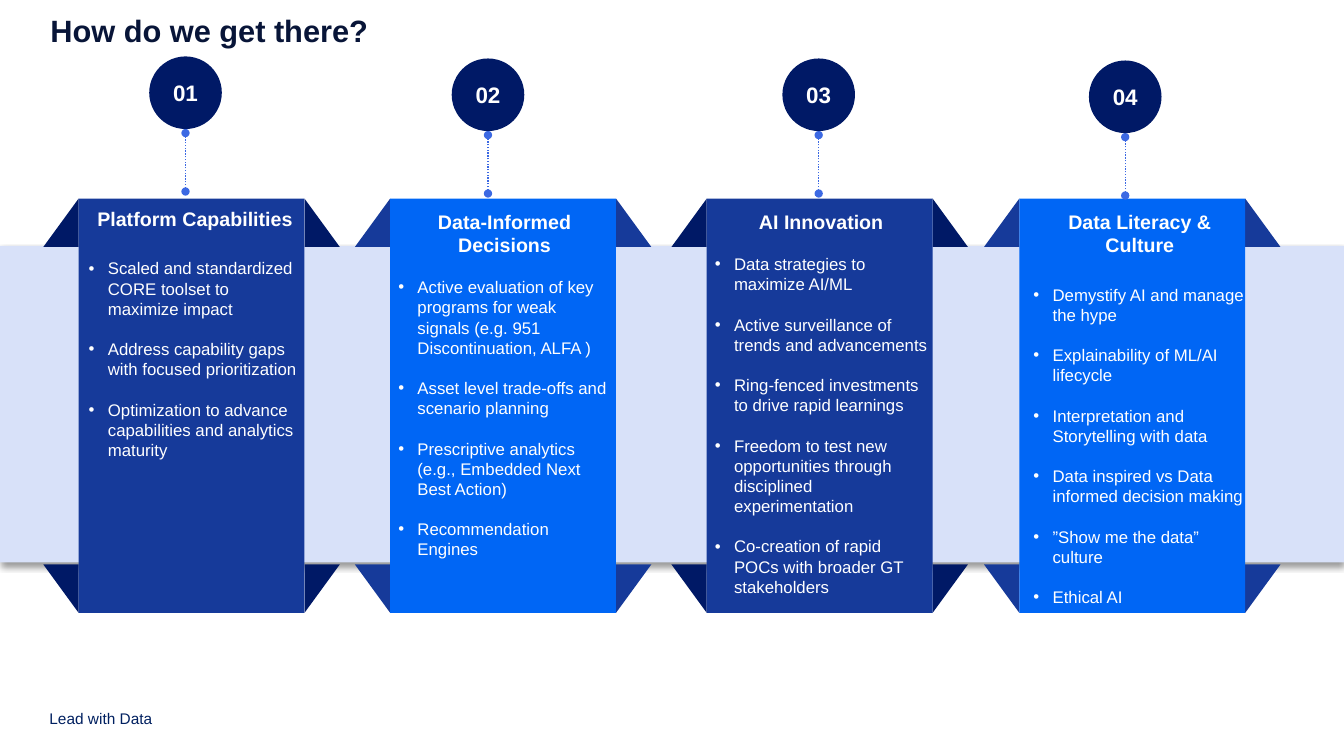
from lxml import etree
from pptx import Presentation
from pptx.dml.color import RGBColor
from pptx.enum.dml import MSO_LINE
from pptx.enum.shapes import MSO_CONNECTOR, MSO_SHAPE
from pptx.enum.text import MSO_ANCHOR, PP_ALIGN
from pptx.oxml.ns import qn
from pptx.util import Inches, Pt

RECTANGLE, OVAL, TRIANGLE = MSO_SHAPE.RECTANGLE, MSO_SHAPE.OVAL, MSO_SHAPE.RIGHT_TRIANGLE
STRAIGHT, DOTTED = MSO_CONNECTOR.STRAIGHT, MSO_LINE.ROUND_DOT
LEFT, CENTER = PP_ALIGN.LEFT, PP_ALIGN.CENTER
TOP, MIDDLE, BOTTOM = MSO_ANCHOR.TOP, MSO_ANCHOR.MIDDLE, MSO_ANCHOR.BOTTOM

COLORS = {
    "title": "081538", "footer": "002060", "band": "D8E1F9", "navy": "001966",
    "royal": "163A9A", "bright": "0066F5", "dots": "3C69E3",
    "white": "FFFFFF", "black": "000000",
}
TITLE = "How do we get there?"
FOOTER = "Lead with Data"
PILLARS = [
    {"heading": "Platform Capabilities", "panel": 0.78, "circle": (1.48, 0.56),
     "text": (0.88, 2.06), "gap": 19.6, "points": [
         "Scaled and standardized CORE toolset to maximize impact",
         "Address capability gaps with focused prioritization",
         "Optimization to advance capabilities and analytics maturity"]},
    {"heading": "Data-Informed Decisions", "panel": 3.87, "circle": (4.48, 0.58),
     "text": (3.95, 2.09), "gap": 14.4, "points": [
         "Active evaluation of key programs for weak signals (e.g. 951 Discontinuation, ALFA )",
         "Asset level trade-offs and scenario planning",
         "Prescriptive analytics (e.g., Embedded Next Best Action)",
         "Recommendation Engines"]},
    {"heading": "AI Innovation", "panel": 7.01, "circle": (7.76, 0.58),
     "text": (7.09, 2.09), "gap": 14.4, "points": [
         "Data strategies to maximize AI/ML",
         "Active surveillance of trends and advancements",
         "Ring-fenced investments to drive rapid learnings",
         "Freedom to test new opportunities through disciplined experimentation",
         "Co-creation of rapid POCs with broader GT stakeholders"]},
    {"heading": "Data Literacy & Culture", "panel": 10.11, "circle": (10.8, 0.6),
     "text": (10.25, 2.09), "gap": 19.6, "points": [
         "Demystify AI and manage the hype",
         "Explainability of ML/AI lifecycle",
         "Interpretation and Storytelling with data",
         "Data inspired vs Data informed decision making",
         "”Show me the data” culture",
         "Ethical AI"]},
]
SCHEMES = [("royal", "navy"), ("bright", "royal")]
PANEL_TOP, PANEL_WIDTH, PANEL_HEIGHT = 1.97, 2.24, 4.11
FOLD_WIDTH, FOLD_HEIGHT = 0.35, 0.48
FOLD_TOPS = [(1.97, False), (5.6, True)]
CIRCLE_SIZE, TEXT_WIDTH, TEXT_HEIGHT = 0.72, 2.11, 3.95
BODY_LINE, HEADING_LINE = 14.4, 16.5


def color(name):
    return RGBColor.from_string(COLORS[name])


def add_block(page, kind, left, top, width, height, fill):
    block = page.shapes.add_shape(
        kind, Inches(left), Inches(top), Inches(width), Inches(height))
    block.shadow.inherit = False
    block.fill.solid()
    block.fill.fore_color.rgb = color(fill)
    block.line.fill.background()
    return block


def add_fold(page, left, top, fill, flip_h, flip_v):
    fold = add_block(page, TRIANGLE, left, top, FOLD_WIDTH, FOLD_HEIGHT, fill)
    for name, flipped in (("flipH", flip_h), ("flipV", flip_v)):
        if flipped:
            fold._element.spPr.xfrm.set(name, "1")


def prepare_frame(box, anchor):
    frame = box.text_frame
    frame.word_wrap = True
    frame.vertical_anchor = anchor
    frame.margin_left = frame.margin_right = frame.margin_top = frame.margin_bottom = 0
    return frame


def add_text_box(page, left, top, width, height, anchor):
    box = page.shapes.add_textbox(
        Inches(left), Inches(top), Inches(width), Inches(height))
    return prepare_frame(box, anchor)


def write(para, text, size, fill, bold=False, align=LEFT):
    para.alignment = align
    span = para.add_run()
    span.text = text
    span.font.name = "Arial"
    span.font.size = Pt(size)
    span.font.bold = bold
    span.font.color.rgb = color(fill)


def make_bullet(para):
    properties = para._p.get_or_add_pPr()
    properties.set("marL", str(Inches(0.19)))
    properties.set("indent", str(-Inches(0.19)))
    etree.SubElement(properties, qn("a:buFont"), typeface="Arial")
    etree.SubElement(properties, qn("a:buChar"), char="•")


def add_band(page):
    band = add_block(page, RECTANGLE, 0, 2.44, 13.33, 3.14, "band")
    effects = band._element.spPr.find(qn("a:effectLst"))
    shadow = etree.SubElement(
        effects, qn("a:outerShdw"), blurRad=str(Pt(4)), dist=str(Pt(3)),
        dir="5400000", algn="t", rotWithShape="0")
    tone = etree.SubElement(shadow, qn("a:srgbClr"), val=COLORS["black"])
    etree.SubElement(tone, qn("a:alpha"), val="40000")


def add_panel(page, left, fill, fold_fill):
    for top, flip_v in FOLD_TOPS:
        add_fold(page, left - FOLD_WIDTH, top, fold_fill, True, flip_v)
        add_fold(page, left + PANEL_WIDTH, top, fold_fill, False, flip_v)
    add_block(page, RECTANGLE, left, PANEL_TOP, PANEL_WIDTH, PANEL_HEIGHT, fill)


def add_pillar_text(page, pillar):
    frame = add_text_box(page, *pillar["text"], TEXT_WIDTH, TEXT_HEIGHT, TOP)
    heading = frame.paragraphs[0]
    heading.line_spacing = Pt(HEADING_LINE)
    write(heading, pillar["heading"], 14, "white", True, CENTER)
    for index, point in enumerate(pillar["points"]):
        para = frame.add_paragraph()
        para.line_spacing = Pt(BODY_LINE)
        para.space_before = Pt(BODY_LINE if index else pillar["gap"])
        write(para, point, 12, "white")
        make_bullet(para)


def add_marker(page, label, left, top):
    center = Inches(left + CIRCLE_SIZE / 2)
    stem = page.shapes.add_connector(
        STRAIGHT, center, Inches(top + 1.34), center, Inches(top + 0.76))
    stem.line.color.rgb = color("dots")
    stem.line.width = Pt(1)
    stem.line.dash_style = DOTTED
    line = stem.line._get_or_add_ln()
    for end in ("a:headEnd", "a:tailEnd"):
        etree.SubElement(line, qn(end), type="oval")
    etree.SubElement(stem._element.spPr, qn("a:effectLst"))
    circle = add_block(page, OVAL, left, top, CIRCLE_SIZE, CIRCLE_SIZE, "navy")
    frame = prepare_frame(circle, MIDDLE)
    write(frame.paragraphs[0], label, 16, "white", True, CENTER)


def main():
    deck = Presentation()
    deck.slide_width, deck.slide_height = Inches(13.33), Inches(7.5)
    page = deck.slides.add_slide(deck.slide_layouts.get_by_name("Title Only"))

    title = page.shapes.title
    title.left, title.top = Inches(0.5), Inches(0.09)
    title.width, title.height = Inches(8.33), Inches(0.42)
    write(prepare_frame(title, MIDDLE).paragraphs[0], TITLE, 22, "title", True)
    footer = add_text_box(page, 0.49, 7, 1.76, 0.22, BOTTOM)
    write(footer.paragraphs[0], FOOTER, 11, "footer")

    add_band(page)
    for index, pillar in enumerate(PILLARS):
        add_panel(page, pillar["panel"], *SCHEMES[index % 2])
        add_pillar_text(page, pillar)
        add_marker(page, f"{index + 1:02d}", *pillar["circle"])
    deck.save("out.pptx")


if __name__ == "__main__":
    main()
